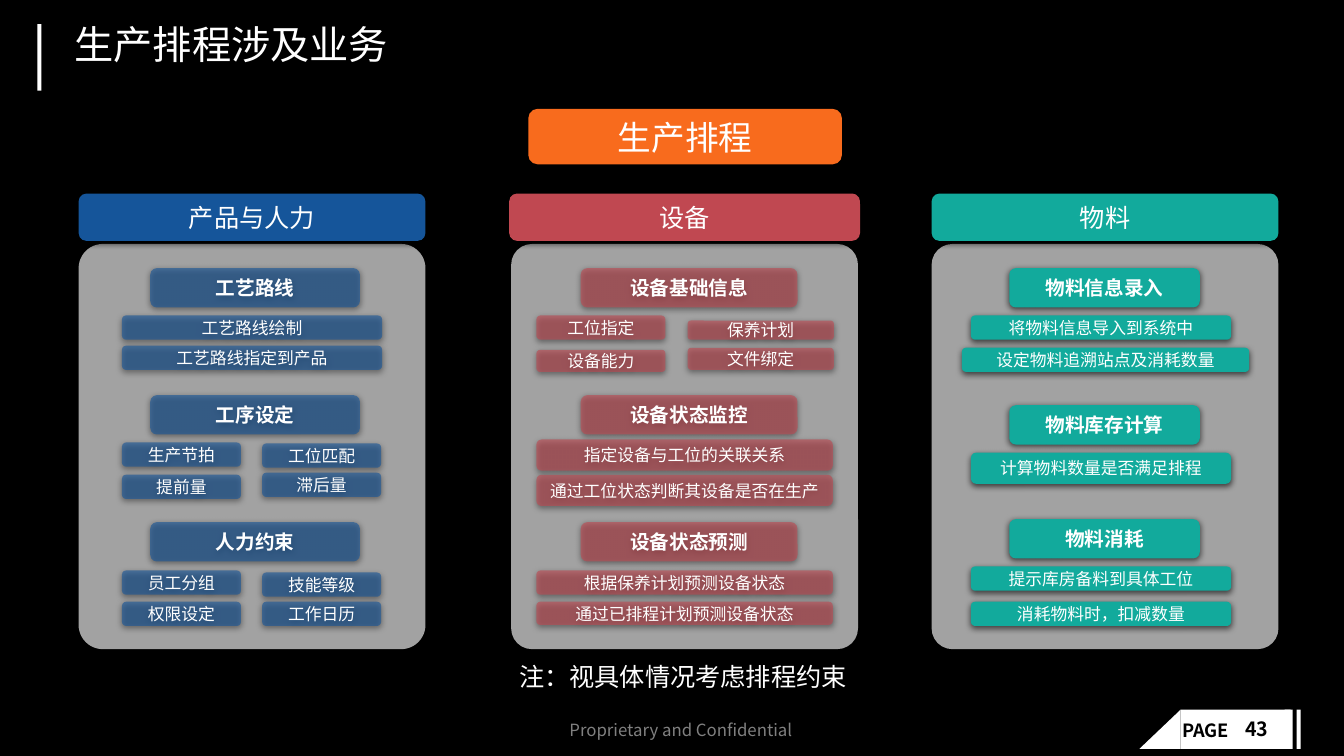
from lxml import etree
from pptx import Presentation
from pptx.dml.color import RGBColor
from pptx.enum.shapes import MSO_SHAPE
from pptx.enum.text import MSO_ANCHOR, MSO_AUTO_SIZE, PP_ALIGN
from pptx.oxml.ns import qn
from pptx.util import Inches, Pt

ROUNDED = MSO_SHAPE.ROUNDED_RECTANGLE
RECTANGLE = MSO_SHAPE.RECTANGLE
TRIANGLE = MSO_SHAPE.RIGHT_TRIANGLE
TOP, MIDDLE = MSO_ANCHOR.TOP, MSO_ANCHOR.MIDDLE
LEFT, CENTER = PP_ALIGN.LEFT, PP_ALIGN.CENTER
NO_AUTOFIT = MSO_AUTO_SIZE.NONE

FONT = "Noto Sans CJK SC"
COLORS = {
    "black": "000000", "white": "FFFFFF", "grey": "808080", "panel": "D9D9D9",
    "orange": "F86B1D", "blue": "15559A", "red": "C04851", "teal": "12AA9C",
}
TITLE_FRAME = {"word_wrap": True, "auto_size": NO_AUTOFIT, "vertical_anchor": TOP}
NOTE_FRAME = {"word_wrap": False, "vertical_anchor": TOP}
CHIP_FRAME = {"word_wrap": True, "vertical_anchor": MIDDLE,
              "margin_top": 0, "margin_bottom": 0}

HEADER_TOP, HEADER_HEIGHT = 1.92, 0.47
PANEL_TOP, PANEL_WIDTH, PANEL_HEIGHT = 2.42, 3.44, 4.02
HEADING_HEIGHT = 0.39

COLUMNS = [
    {
        "name": "产品与人力", "color": "blue", "alpha": 60, "left": 0.78,
        "overhang": 0, "corner": 0.07,
        "slots": {"heading": (0.71, 2.08), "full": (0.43, 2.58),
                  "left": (0.43, 1.18), "right": (1.82, 1.18)},
        "sections": [
            ("工艺路线", 0.24, [("full", 0.47, 0.24, "工艺路线绘制"),
                            ("full", 0.77, 0.24, "工艺路线指定到产品")]),
            ("工序设定", 1.5, [("left", 0.47, 0.24, "生产节拍"),
                           ("left", 0.79, 0.24, "提前量"),
                           ("right", 0.48, 0.24, "工位匹配"),
                           ("right", 0.77, 0.24, "滞后量")]),
            ("人力约束", 2.76, [("left", 0.48, 0.24, "员工分组"),
                            ("left", 0.79, 0.24, "权限设定"),
                            ("right", 0.5, 0.24, "技能等级"),
                            ("right", 0.79, 0.24, "工作日历")]),
        ],
    },
    {
        "name": "设备", "color": "red", "alpha": 60, "left": 5.07,
        "overhang": 0.02, "corner": 0.06,
        "slots": {"heading": (0.69, 2.15), "full": (0.25, 2.94),
                  "left": (0.25, 1.28), "right": (1.75, 1.45)},
        "sections": [
            ("设备基础信息", 0.24, [("left", 0.47, 0.24, "工位指定"),
                              ("left", 0.81, 0.22, "设备能力"),
                              ("right", 0.52, 0.19, "保养计划"),
                              ("right", 0.79, 0.22, "文件绑定")]),
            ("设备状态监控", 1.5, [("full", 0.44, 0.31, "指定设备与工位的关联关系"),
                             ("full", 0.79, 0.31, "通过工位状态判断其设备是否在生产")]),
            ("设备状态预测", 2.76, [("full", 0.48, 0.24, "根据保养计划预测设备状态"),
                              ("full", 0.79, 0.23, "通过已排程计划预测设备状态")]),
        ],
    },
    {
        "name": "物料", "color": "teal", "alpha": 100, "left": 9.24,
        "overhang": 0, "corner": 0.06,
        "slots": {"heading": (0.77, 1.89), "full": (0.39, 2.58),
                  "wide": (0.3, 2.85)},
        "sections": [
            ("物料信息录入", 0.24, [("full", 0.47, 0.24, "将物料信息导入到系统中"),
                              ("wide", 0.79, 0.24, "设定物料追溯站点及消耗数量")]),
            ("物料库存计算", 1.6, [("full", 0.47, 0.31, "计算物料数量是否满足排程")]),
            ("物料消耗", 2.73, [("full", 0.47, 0.24, "提示库房备料到具体工位"),
                            ("full", 0.82, 0.24, "消耗物料时，扣减数量")]),
        ],
    },
]


def write(frame, text, size, color, frame_format, align=LEFT, bold=False):
    """Fill a text frame with one formatted line."""
    for attribute, value in frame_format.items():
        setattr(frame, attribute, value)
    line = frame.paragraphs[0]
    line.alignment = align
    run = line.add_run()
    run.text = text
    for attribute, value in {"name": FONT, "size": Pt(size), "bold": bold}.items():
        setattr(run.font, attribute, value)
    run.font.color.rgb = RGBColor.from_string(COLORS[color])
    etree.SubElement(run.font._element, qn("a:ea"), typeface=FONT)
    return line


def add_block(slide, kind, box, color, alpha=100):
    """Add a plain filled shape without outline or shadow."""
    block = slide.shapes.add_shape(kind, *map(Inches, box))
    block.shadow.inherit = False
    block.line.fill.background()
    block.fill.solid()
    block.fill.fore_color.rgb = RGBColor.from_string(COLORS[color])
    if alpha < 100:
        tint = block._element.spPr.find(".//" + qn("a:srgbClr"))
        etree.SubElement(tint, qn("a:alpha"), val=str(alpha * 1000))
    return block


def add_chip(slide, box, text, size, color, alpha=100, bold=False):
    """Add a rounded label with centred text and a soft shadow."""
    chip = add_block(slide, ROUNDED, box, color, alpha)
    effects = chip._element.spPr.find(qn("a:effectLst"))
    shadow = etree.SubElement(effects, qn("a:outerShdw"), blurRad=str(Pt(4.5)),
                              dist=str(Pt(1.5)), dir="5400000", rotWithShape="0")
    shade = etree.SubElement(shadow, qn("a:srgbClr"), val=COLORS["black"])
    etree.SubElement(shade, qn("a:alpha"), val="63000")
    write(chip.text_frame, text, size, "white", CHIP_FRAME, CENTER, bold)


def add_note(slide, box, text, size, color, bold=False):
    """Add a single unwrapped line of text."""
    note = slide.shapes.add_textbox(*map(Inches, box))
    return write(note.text_frame, text, size, color, NOTE_FRAME, bold=bold)


def add_title(slide, left, top, width, height):
    """Place the title with the bar on its left."""
    add_block(slide, RECTANGLE, (left - 0.27, top + 0.04, 0.04, 0.66), "white")
    title = slide.shapes.title
    box = {"left": left, "top": top, "width": width, "height": height}
    for attribute, value in box.items():
        setattr(title, attribute, Inches(value))
    line = write(title.text_frame, "生产排程涉及业务", 28, "white", TITLE_FRAME)
    line.line_spacing = 0.9


def add_column(slide, column):
    """Draw one business column: panel, header and its sections."""
    left, color, alpha = column["left"], column["color"], column["alpha"]
    panel = add_block(slide, ROUNDED, (left, PANEL_TOP, PANEL_WIDTH, PANEL_HEIGHT),
                      "panel", 75)
    panel.adjustments[0] = column["corner"]
    overhang = column["overhang"]
    header = (left - overhang, HEADER_TOP, PANEL_WIDTH + 2 * overhang, HEADER_HEIGHT)
    add_chip(slide, header, column["name"], 18, color)
    for heading, offset, items in column["sections"]:
        top = PANEL_TOP + offset
        rows = [("heading", 0, HEADING_HEIGHT, heading)] + items
        for slot, drop, height, text in rows:
            inset, width = column["slots"][slot]
            is_heading = slot == "heading"
            add_chip(slide, (left + inset, top + drop, width, height), text,
                     14 if is_heading else 12, color, alpha, is_heading)


def add_footer(slide, left, top, height):
    """Draw the confidentiality line and the page badge."""
    add_note(slide, (5.55, top + 0.05, 2.56, 0.3),
             "Proprietary and Confidential", 12, "grey")
    corner = add_block(slide, TRIANGLE, (left, top, 0.41, height), "white")
    corner._element.spPr.find(qn("a:xfrm")).set("flipH", "1")
    for shift, width in ((0.41, 1.09), (1.44, 0.08), (1.56, 0.04)):
        add_block(slide, RECTANGLE, (left + shift, top, width, height), "white")
    add_note(slide, (left + 0.33, top + 0.05, 0.73, 0.32), "PAGE", 13, "black", True)
    number = add_note(slide, (left + 0.95, top + 0.05, 0.58, 0.32), "43", 14,
                      "black", True)
    number.line_spacing = 0.9


def main():
    """Build the slide and save it."""
    deck = Presentation()
    deck.slide_width, deck.slide_height = Inches(13.33), Inches(7.5)
    slide = deck.slides.add_slide(deck.slide_layouts[5])
    slide.background.fill.solid()
    slide.background.fill.fore_color.rgb = RGBColor.from_string(COLORS["black"])
    add_footer(slide, 11.3, 7.04, 0.39)
    add_title(slide, 0.64, 0.2, 12.32, 0.7)
    add_chip(slide, (5.24, 1.08, 3.11, 0.55), "生产排程", 24, "orange")
    for column in COLUMNS:
        add_column(slide, column)
    add_note(slide, (5.05, 6.51, 3.48, 0.4), "注：视具体情况考虑排程约束", 18, "white")
    deck.save("out.pptx")


if __name__ == "__main__":
    main()
